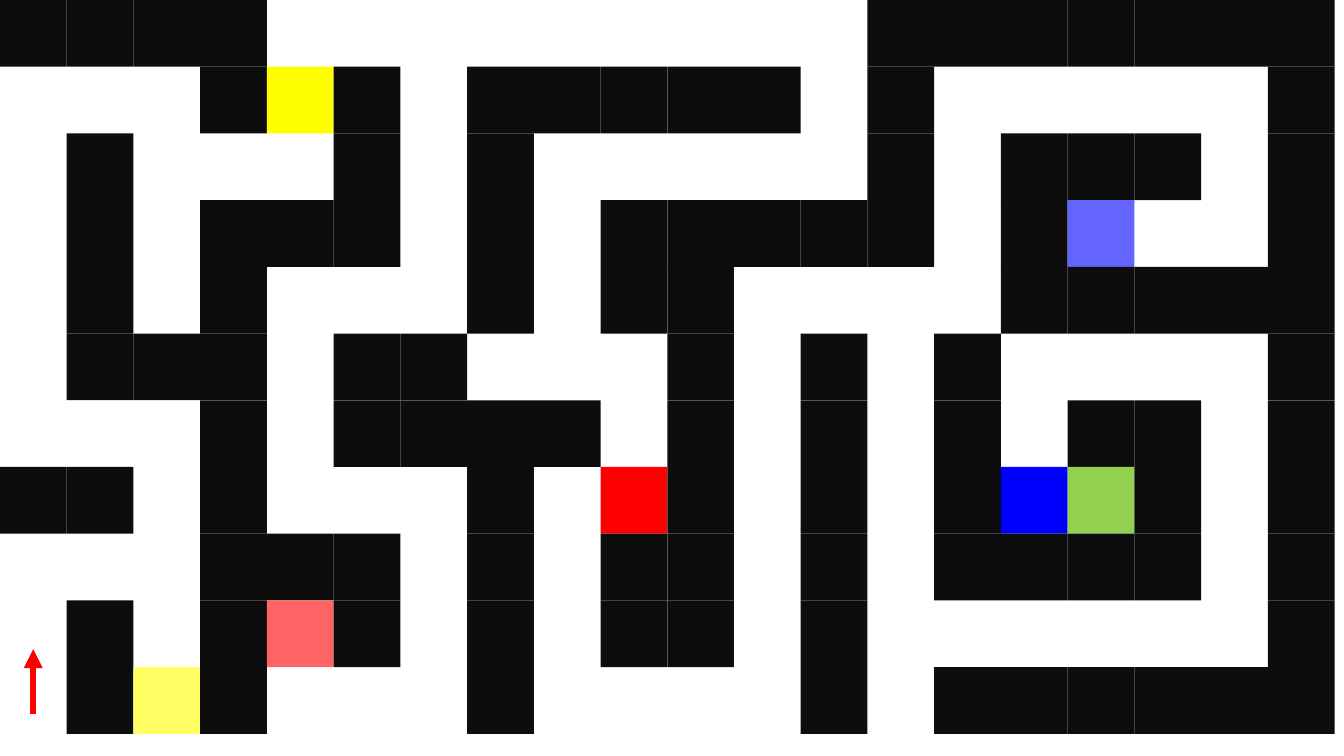
"""Build a maze slide with coloured doors, keys and a start arrow."""
from pptx import Presentation
from pptx import util as u
from pptx.dml.color import RGBColor
from pptx.enum import shapes
from pptx.oxml.ns import qn
from lxml import etree

HUES = {
    "#": "0D0D0D",
    "G": "92D050",
    "y": "FFFF64",
    "Y": "FFFF00",
    "r": "FF6464",
    "R": "FF0000",
    "b": "6464FF",
    "B": "0000FF",
}
MAZE = [
    "####.........#######",
    "...#Y#.#####.#.....#",
    ".#...#.#.....#.###.#",
    ".#.###.#.#####.#b..#",
    ".#.#...#.##....#####",
    ".###.##...#.#.#....#",
    "...#.####.#.#.#.##.#",
    "##.#...#.R#.#.#BG#.#",
    "...###.#.##.#.####.#",
    ".#.#r#.#.##.#......#",
    ".#y#...#....#.######",
]
CELL = 7.28 / len(MAZE)


def add_cell(group, row, col, hue):
    """Draw one filled square of the grid."""
    cell = group.shapes.add_shape(
        shapes.MSO_SHAPE.RECTANGLE,
        u.Inches(col * CELL), u.Inches(row * CELL),
        u.Inches(CELL), u.Inches(CELL))
    cell.shadow.inherit = False
    cell.fill.solid()
    cell.fill.fore_color.rgb = RGBColor.from_string(hue)
    cell.line.fill.background()


def add_maze(group):
    """Draw every square that is not an open path."""
    for row, marks in enumerate(MAZE):
        for col, mark in enumerate(marks):
            if mark in HUES:
                add_cell(group, row, col, HUES[mark])


def add_arrow(group, start, end, hue, width):
    """Draw a straight arrow with a triangle at its end."""
    arrow = group.shapes.add_connector(
        shapes.MSO_CONNECTOR.STRAIGHT,
        *(u.Inches(n) for n in start + end))
    arrow.line.color.rgb = RGBColor.from_string(hue)
    arrow.line.width = u.Pt(width)
    line = arrow.line._get_or_add_ln()
    etree.SubElement(line, qn("a:tailEnd"), type="triangle")
    etree.SubElement(arrow._element.spPr, qn("a:effectLst"))


def main():
    """Build and save the slide."""
    deck = Presentation()
    deck.slide_width = u.Inches(13.33)
    deck.slide_height = u.Inches(7.5)
    slide = deck.slides.add_slide(deck.slide_layouts[6])
    group = slide.shapes.add_group_shape()
    add_maze(group)
    add_arrow(group, (0.33, 7.08), (0.33, 6.44), HUES["R"], 4.5)
    deck.save("out.pptx")


main()
